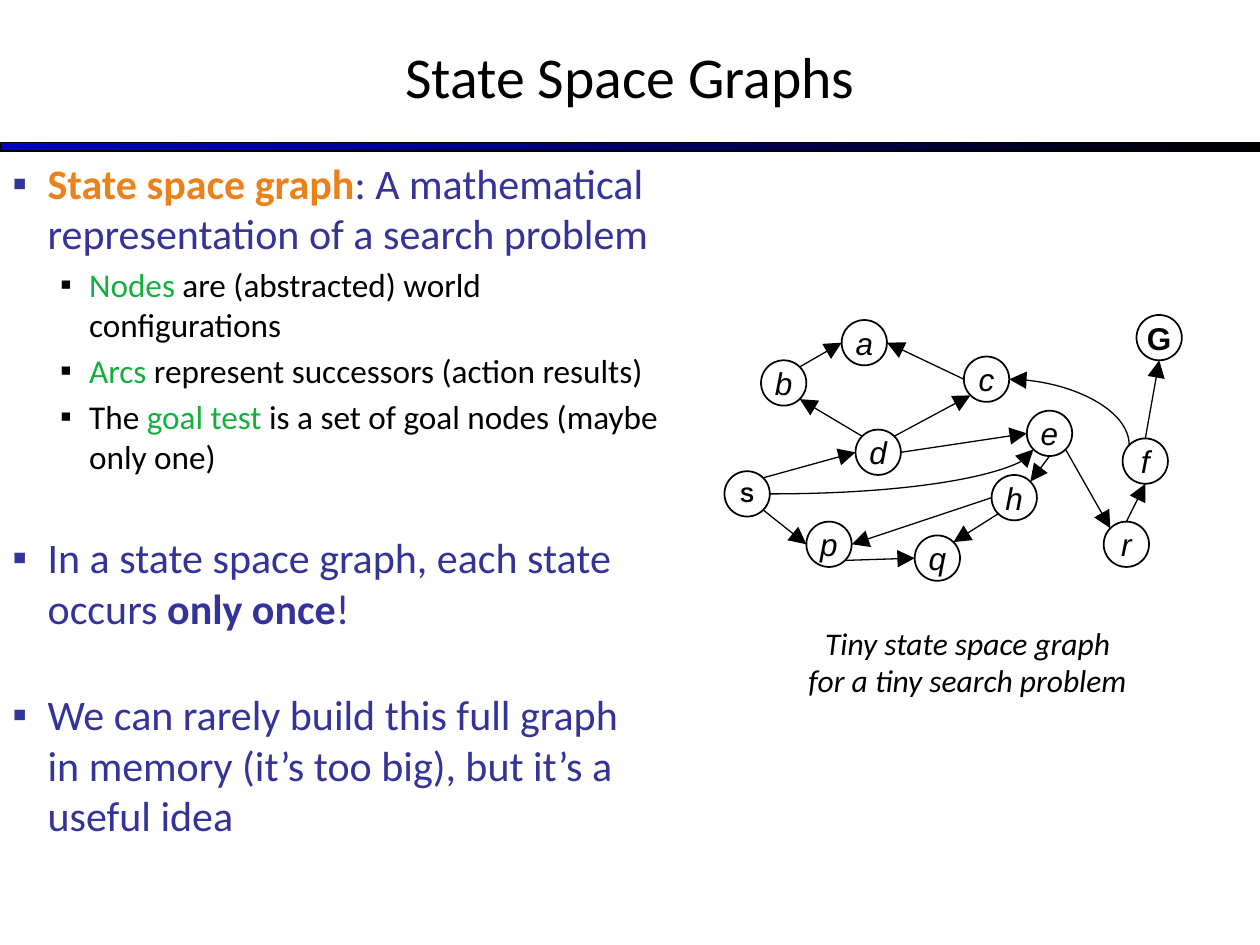
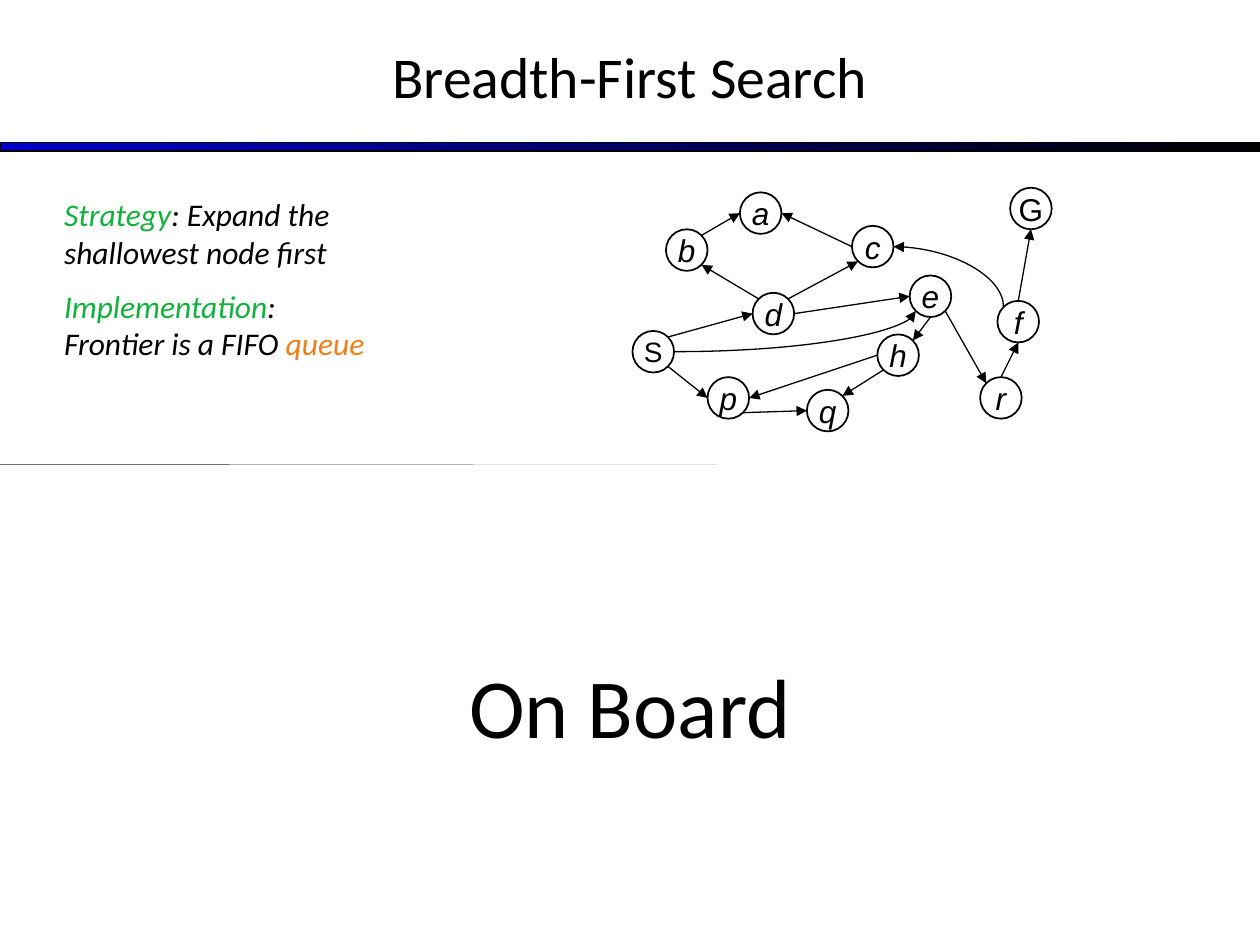
from dataclasses import dataclass, field
from typing import NamedTuple, Optional

from pptx import Presentation
from pptx.dml.color import RGBColor
from pptx.enum import shapes as es, text as et
from pptx.oxml.ns import qn
from pptx.util import Inches, Pt
from lxml import etree

BLACK = RGBColor(0x00, 0x00, 0x00)
WHITE = RGBColor(0xFF, 0xFF, 0xFF)
BAND_BLUE = RGBColor(0x00, 0x00, 0xCC)
INDIGO = RGBColor(0x33, 0x33, 0x99)
ORANGE = RGBColor(0xEB, 0x81, 0x1B)
GREEN = RGBColor(0x14, 0xB0, 0x3D)
BODY_FONT, NODE_FONT = "Calibri", "Arial"
SLIDE_W, SLIDE_H = 10, 7.5


class Span(NamedTuple):
    text: str
    color: RGBColor = BLACK
    bold: bool = False


class Bullet(NamedTuple):
    spans: list[Span]
    level: int = 0
    before: float = 3.5


class BulletStyle(NamedTuple):
    size: float
    color: RGBColor
    margin: float
    hang: float


class Edge(NamedTuple):
    start: str
    start_site: str
    end: str
    end_site: str


@dataclass
class Graph:
    """Placement and look of the search graph on one slide."""
    left: float
    top: float
    node: float
    arrow: str
    start_size: float
    bold_ends: bool
    centres: dict[str, tuple[float, float]] = field(default_factory=dict)

    def place(self) -> None:
        scale = self.node / BASE_NODE
        for name, (x, y) in NODES.items():
            self.centres[name] = (self.left + x * scale + self.node / 2,
                                  self.top + y * scale + self.node / 2)

    def site(self, name: str, site: str) -> tuple[float, float]:
        x, y = self.centres[name]
        dx, dy = SITES[site]
        return x + dx * self.node / 2, y + dy * self.node / 2


# Node offsets from the top left of the graph, for nodes of BASE_NODE inches
BASE_NODE = 0.36
NODES = {
    "S": (0, 1.24), "G": (3.27, 0), "d": (1.04, 0.91), "b": (0.29, 0.36),
    "p": (0.65, 1.64), "q": (1.51, 1.75), "c": (1.9, 0.33), "e": (2.4, 0.76),
    "h": (2.12, 1.27), "a": (0.93, 0.04), "f": (3.16, 0.98), "r": (3.01, 1.64),
}
DIAG = 0.71
SITES = {
    "top": (0, -1), "bottom": (0, 1), "left": (-1, 0), "right": (1, 0),
    "nw": (-DIAG, -DIAG), "ne": (DIAG, -DIAG),
    "sw": (-DIAG, DIAG), "se": (DIAG, DIAG),
}
EDGES = [
    Edge("S", "se", "p", "left"), Edge("p", "se", "q", "left"),
    Edge("h", "sw", "q", "ne"), Edge("h", "left", "p", "right"),
    Edge("e", "bottom", "h", "ne"), Edge("e", "se", "r", "nw"),
    Edge("r", "top", "f", "bottom"), Edge("f", "top", "G", "bottom"),
    Edge("S", "ne", "d", "left"), Edge("d", "nw", "b", "se"),
    Edge("b", "ne", "a", "left"), Edge("c", "left", "a", "right"),
    Edge("d", "ne", "c", "sw"), Edge("d", "right", "e", "left"),
]
F_TO_C = Edge("f", "nw", "c", "right")
S_TO_E = Edge("S", "right", "e", "sw")

BULLET_STYLES = [BulletStyle(24, INDIGO, 0.28, 0.28),
                 BulletStyle(19, BLACK, 0.61, 0.23)]
SECTION_GAP = 32
BODY = [
    Bullet([Span("State space graph", ORANGE, True),
            Span(": A mathematical representation of a search problem", INDIGO)], before=0),
    Bullet([Span("Nodes", GREEN), Span(" are (abstracted) world configurations")], 1),
    Bullet([Span("Arcs", GREEN), Span(" represent successors (action results)")], 1),
    Bullet([Span("The "), Span("goal test ", GREEN),
            Span("is a set of goal nodes (maybe only one)")], 1),
    Bullet([Span("In a state space graph, each state occurs ", INDIGO),
            Span("only once", INDIGO, True), Span("!", INDIGO)], before=SECTION_GAP),
    Bullet([Span("We can rarely build this full graph in memory (it’s too big), "
                 "but it’s a useful idea", INDIGO)], before=SECTION_GAP),
]


def add_run(p, span: Span, size: float, font: str = BODY_FONT, italic: bool = False) -> None:
    r = p.add_run()
    r.text = span.text
    r.font.name, r.font.size = font, Pt(size)
    r.font.bold, r.font.italic = span.bold, italic
    r.font.color.rgb = span.color


def add_box(s, left: float, top: float, width: float, height: float,
            side: float = 0.1, edge: float = 0.05):
    tf = s.shapes.add_textbox(Inches(left), Inches(top), Inches(width), Inches(height)).text_frame
    tf.word_wrap = True
    tf.margin_left = tf.margin_right = Inches(side)
    tf.margin_top = tf.margin_bottom = Inches(edge)
    return tf


def next_paragraph(tf, index: int):
    return tf.add_paragraph() if index else tf.paragraphs[0]


def add_line(shapes, start: tuple[float, float], end: tuple[float, float],
             arrow: Optional[str] = None, curved: bool = False):
    kind = es.MSO_CONNECTOR.CURVE if curved else es.MSO_CONNECTOR.STRAIGHT
    cx = shapes.add_connector(kind, *(Inches(v) for v in (*start, *end)))
    cx.line.color.rgb = BLACK
    cx.line.width = Pt(0.75)
    sp_pr = cx._element.spPr
    etree.SubElement(sp_pr, qn("a:effectLst"))
    if curved:
        sp_pr.find(qn("a:prstGeom")).set("prst", "curvedConnector2")
    if arrow:
        etree.SubElement(sp_pr.find(qn("a:ln")), qn("a:tailEnd"),
                         type="triangle", w=arrow, len=arrow)
    return cx


def add_graph(s, graph: Graph) -> None:
    graph.place()
    shapes = s.shapes.add_group_shape().shapes

    # Nodes
    for name, (x, y) in graph.centres.items():
        half = graph.node / 2
        sp = shapes.add_shape(es.MSO_SHAPE.FLOWCHART_CONNECTOR, Inches(x - half),
                              Inches(y - half), Inches(graph.node), Inches(graph.node))
        sp.shadow.inherit = False
        sp.fill.background()
        sp.line.color.rgb = BLACK
        sp.line.width = Pt(1)
        tf = sp.text_frame
        tf.word_wrap = False
        tf.vertical_anchor = et.MSO_ANCHOR.MIDDLE
        tf.margin_left = tf.margin_right = tf.margin_top = tf.margin_bottom = 0
        p = tf.paragraphs[0]
        p.alignment = et.PP_ALIGN.CENTER
        is_end = name in ("S", "G")
        add_run(p, Span(name, BLACK, is_end and graph.bold_ends),
                graph.start_size if name == "S" else 18, NODE_FONT, not is_end)

    # Straight arrows
    for edge in EDGES:
        add_line(shapes, graph.site(edge.start, edge.start_site),
                 graph.site(edge.end, edge.end_site), graph.arrow)

    # This arc leaves its node vertically, so its box is turned a quarter
    (x1, y1), (x2, y2) = graph.site(*F_TO_C[:2]), graph.site(*F_TO_C[2:])
    mid_x, mid_y = (x1 + x2) / 2, (y1 + y2) / 2
    half_w, half_h = (y1 - y2) / 2, (x1 - x2) / 2
    arc = add_line(shapes, (mid_x + half_w, mid_y - half_h),
                   (mid_x - half_w, mid_y + half_h), graph.arrow, curved=True)
    arc._element.spPr.find(qn("a:xfrm")).set("rot", str(90 * 60000))

    # This arc leaves its node horizontally
    add_line(shapes, graph.site(*S_TO_E[:2]), graph.site(*S_TO_E[2:]), graph.arrow, curved=True)


def add_titled_slide(prs, title: str):
    s = prs.slides.add_slide(prs.slide_layouts[6])
    # Gradient band
    band = s.shapes.add_shape(es.MSO_SHAPE.RECTANGLE, 0, Inches(1.13),
                              Inches(SLIDE_W), Inches(0.07))
    band.shadow.inherit = False
    band.fill.gradient()
    band.fill.gradient_angle = 0
    for stop, color, position in zip(band.fill.gradient_stops, (BAND_BLUE, BLACK), (0, 1)):
        stop.color.rgb, stop.position = color, position
    band.line.color.rgb = BLACK
    band.line.width = Pt(0.75)
    # Title
    tf = add_box(s, 0, -0.03, SLIDE_W, 1.25)
    tf.vertical_anchor = et.MSO_ANCHOR.MIDDLE
    p = tf.paragraphs[0]
    p.alignment = et.PP_ALIGN.CENTER
    add_run(p, Span(title), 33)
    return s


def add_bullets(s, bullets: list[Bullet]) -> None:
    tf = add_box(s, 0, 1.2, 5.33, 6.3)
    for i, bullet in enumerate(bullets):
        style = BULLET_STYLES[bullet.level]
        p = next_paragraph(tf, i)
        p.level = bullet.level
        p_pr = p._p.get_or_add_pPr()
        p_pr.set("marL", str(Inches(style.margin)))
        p_pr.set("indent", str(-Inches(style.hang)))
        bu_clr = etree.SubElement(p_pr, qn("a:buClr"))
        etree.SubElement(bu_clr, qn("a:srgbClr"), val=str(style.color))
        etree.SubElement(p_pr, qn("a:buFont"), typeface=NODE_FONT)
        etree.SubElement(p_pr, qn("a:buChar"), char="▪")
        p.space_before = Pt(bullet.before)
        for span in bullet.spans:
            add_run(p, span, style.size)


def build_state_space(prs) -> None:
    s = add_titled_slide(prs, "State Space Graphs")
    add_graph(s, Graph(5.75, 2.5, 0.36, "lg", start_size=12, bold_ends=True))
    # Caption
    p = add_box(s, 6.33, 4.91, 2.7, 0.68, 0.07, 0.04).paragraphs[0]
    p.alignment = et.PP_ALIGN.CENTER
    add_run(p, Span("Tiny state space graph for a tiny search problem"), 18, italic=True)
    add_bullets(s, BODY)


def build_breadth_first(prs) -> None:
    s = add_titled_slide(prs, "Breadth-First Search")
    add_graph(s, Graph(5.02, 1.49, 0.33, "med", start_size=16, bold_ends=False))
    add_line(s.shapes, (0, 3.69), (SLIDE_W, 3.7))
    # Strategy and implementation
    tf = add_box(s, 0.41, 1.5, 2.59, 1.46)
    notes = [
        [Span("Strategy", GREEN), Span(": Expand the shallowest node first")],
        [Span("Implementation", GREEN), Span(": Frontier is a FIFO "), Span("queue", ORANGE)],
    ]
    for i, spans in enumerate(notes):
        p = next_paragraph(tf, i)
        p.space_before = Pt(9 if i else 0)
        for span in spans:
            add_run(p, span, 18, italic=True)
    # Lower panel
    panel = s.shapes.add_shape(es.MSO_SHAPE.RECTANGLE, 0, Inches(3.69),
                               Inches(SLIDE_W), Inches(SLIDE_H - 3.69))
    panel.shadow.inherit = False
    panel.fill.solid()
    panel.fill.fore_color.rgb = WHITE
    panel.line.fill.background()
    panel.text_frame.vertical_anchor = et.MSO_ANCHOR.MIDDLE
    p = panel.text_frame.paragraphs[0]
    p.alignment = et.PP_ALIGN.CENTER
    add_run(p, Span("On Board"), 48)


def main() -> None:
    prs = Presentation()
    prs.slide_width, prs.slide_height = Inches(SLIDE_W), Inches(SLIDE_H)
    build_state_space(prs)
    build_breadth_first(prs)
    prs.save("out.pptx")


if __name__ == "__main__":
    main()
